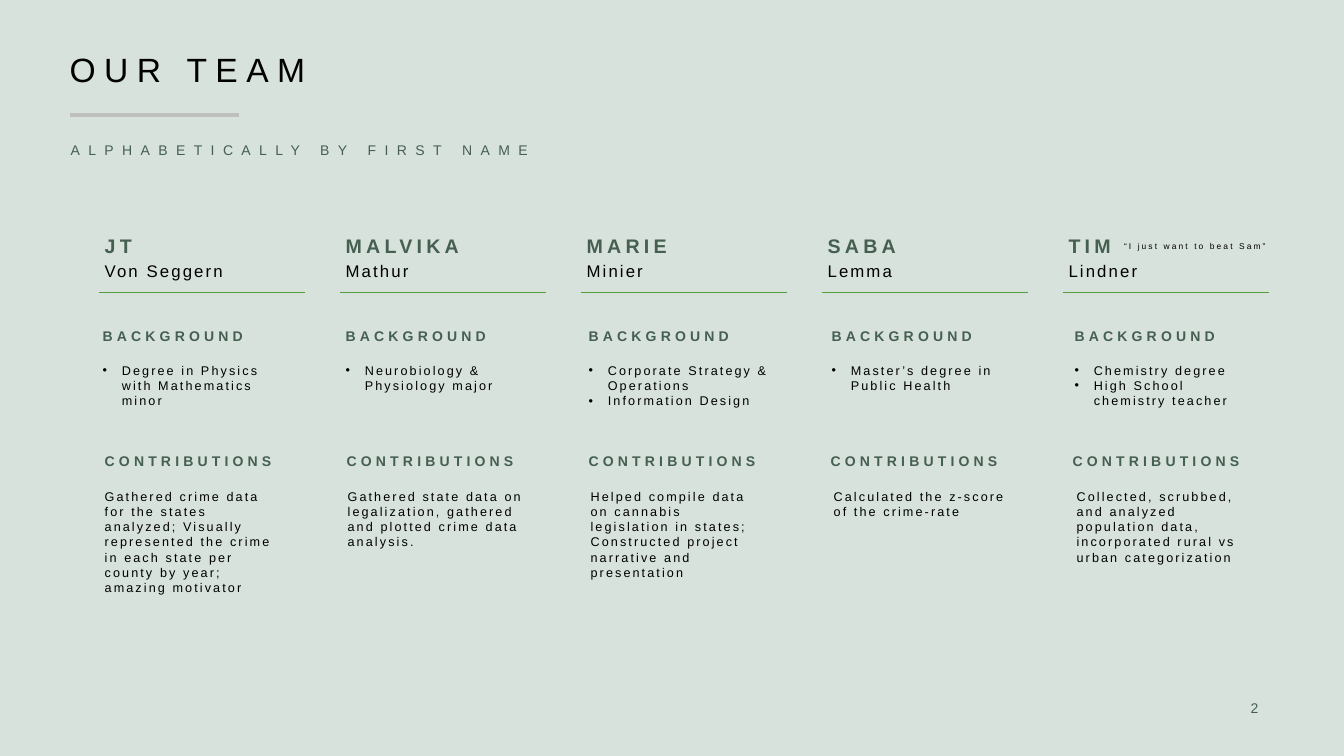
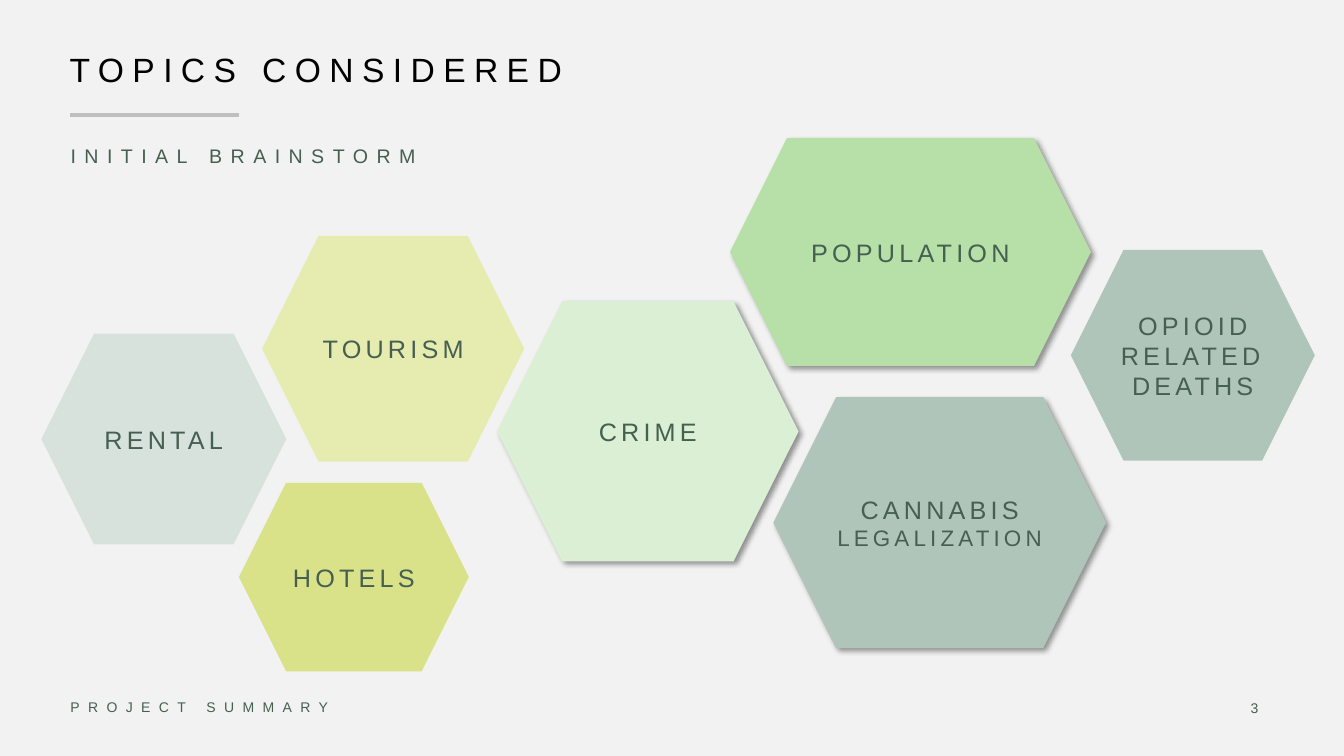
from lxml.etree import SubElement
from pptx import Presentation
from pptx.dml.color import RGBColor
from pptx.enum.shapes import MSO_CONNECTOR as Connector, MSO_SHAPE as Preset
from pptx.enum.text import MSO_ANCHOR as Anchor, MSO_AUTO_SIZE as AutoSize, PP_ALIGN as Align
from pptx.oxml.ns import qn
from pptx.util import Inches, Pt

FONT = "Arial"
BLACK, FOREST, GREEN, SILVER = "000000", "455F51", "549E39", "BFBFBF"

STYLES = {
    "title": dict(size=24, color=BLACK, spacing=6),
    "subtitle": dict(size=14, color=FOREST, spacing=6),
    "label": dict(size=10, color=FOREST, spacing=6),
    "name": dict(size=14, color=FOREST, spacing=3, bold=True),
    "surname": dict(size=12, color=BLACK, spacing=1.5),
    "heading": dict(size=10, color=FOREST, spacing=3, bold=True),
    "detail": dict(size=9, color=BLACK, spacing=1.5),
    "quote": dict(size=6, color=BLACK, spacing=1.5),
    "topic": dict(size=18, color=FOREST, spacing=3),
    "topic small": dict(size=16, color=FOREST, spacing=3),
}

TEAM = [
    dict(name="JT", name_width=0.51, surname="Von Seggern",
         background=["Degree in Physics with Mathematics minor"],
         contribution="Gathered crime data for the states analyzed; Visually represented "
                      "the crime in each state per county by year; amazing motivator",
         contribution_width=1.96),
    dict(name="MALVIKA", name_width=1.38, surname="Mathur",
         background=["Neurobiology & Physiology major"],
         contribution="Gathered state data on legalization, gathered and plotted "
                      "crime data analysis.",
         contribution_width=1.94),
    dict(name="MARIE", name_width=1.05, surname="Minier",
         background=["Corporate Strategy & Operations", "Information Design"],
         contribution="Helped compile data on cannabis legislation in states; "
                      "Constructed project narrative and presentation",
         contribution_width=1.94),
    dict(name="SABA", name_width=0.93, surname="Lemma",
         background=["Master’s degree in Public Health"],
         contribution="Calculated the z-score of the crime-rate",
         contribution_width=1.92),
    dict(name="TIM", name_width=0.66, surname="Lindner",
         background=["Chemistry degree", "High School chemistry teacher"],
         contribution="Collected, scrubbed, and analyzed population data, "
                      "incorporated rural vs urban categorization",
         contribution_width=1.84),
]
QUOTE = "“I just want to beat Sam”"

TOPICS = [
    (["CRIME"], (4.93, 2.99, 2.99, 2.58), "DBEFD4", True),
    (["RENTAL"], (0.41, 3.31, 2.43, 2.09), "D7E2DC", False),
    (["OPIOID", "RELATED DEATHS"], (10.62, 2.48, 2.42, 2.09), "AFC5B9", False),
    (["TOURISM"], (2.6, 2.34, 2.6, 2.24), "E6ECB0", False),
    (["HOTELS"], (2.37, 4.79, 2.28, 1.87), "D9E289", False),
    (["POPULATION"], (7.24, 1.37, 3.58, 2.26), "B7E0A8", True),
    (["CANNABIS", "LEGALIZATION"], (7.67, 3.94, 3.3, 2.49), "AFC5B9", True),
]
SMALL_TOPICS = {"LEGALIZATION"}


def rgb(color):
    """Turn a hex string into a colour."""
    return RGBColor.from_string(color)


def style_run(run, style):
    """Apply a named text style to a run."""
    look = STYLES[style]
    values = dict(name=FONT, size=Pt(look["size"]), bold=look.get("bold", False))
    for attribute, value in values.items():
        setattr(run.font, attribute, value)
    run.font.color.rgb = rgb(look["color"])
    run._r.get_or_add_rPr().set("spc", str(int(look["spacing"] * 100)))


def set_bullet(paragraph, bullet):
    """Give a paragraph a hanging bullet, or clear the inherited one."""
    hang = Inches(0.19) if bullet else 0
    properties = paragraph._p.get_or_add_pPr()
    properties.set("marL", str(hang))
    properties.set("indent", str(-hang))
    if bullet:
        SubElement(properties, qn("a:buFont")).set("typeface", FONT)
        SubElement(properties, qn("a:buChar")).set("char", "•")
    else:
        SubElement(properties, qn("a:buNone"))


def write(frame, lines, style, align=Align.LEFT, bullet=False, line_spacing=1.0, **frame_format):
    """Fill a text frame with one styled paragraph per line."""
    settings = dict(word_wrap=True, auto_size=AutoSize.NONE, vertical_anchor=Anchor.TOP)
    for attribute, value in {**settings, **frame_format}.items():
        setattr(frame, attribute, value)
    for index, line in enumerate(lines):
        paragraph = frame.add_paragraph() if index else frame.paragraphs[0]
        set_bullet(paragraph, bullet)
        layout = dict(alignment=align, line_spacing=line_spacing, space_before=Pt(0))
        for attribute, value in layout.items():
            setattr(paragraph, attribute, value)
        run = paragraph.add_run()
        run.text = line
        style_run(run, "topic small" if line in SMALL_TOPICS else style)


def add_text(shapes, box, lines, style, **text_format):
    """Add a text box at the given place in inches."""
    textbox = shapes.add_textbox(*map(Inches, box))
    write(textbox.text_frame, lines, style, **text_format)


def add_rule(shapes, left, top, width, color, weight):
    """Add a horizontal line without a shadow."""
    ends = map(Inches, (left, top, left + width, top))
    rule = shapes.add_connector(Connector.STRAIGHT, *ends)
    rule.line.color.rgb = rgb(color)
    rule.line.width = Pt(weight)
    SubElement(rule._element.spPr, qn("a:effectLst"))


def fill_placeholder(placeholder, box, text, style, **text_format):
    """Move a placeholder and write one line in it."""
    for side, value in zip(("left", "top", "width", "height"), box):
        setattr(placeholder, side, Inches(value))
    write(placeholder.text_frame, [text], style, **text_format)


def add_base(prs, background, title, number, subtitle, subtitle_box, **subtitle_format):
    """Start a slide with its title, subtitle, rule and page number."""
    slide = prs.slides.add_slide(prs.slide_layouts[1])
    slide.background.fill.solid()
    slide.background.fill.fore_color.rgb = rgb(background)
    fill_placeholder(slide.shapes.title, (0.59, 0.48, 11.5, 0.54), title, "title",
                     line_spacing=0.9)
    fill_placeholder(slide.placeholders[1], subtitle_box, subtitle, **subtitle_format)
    add_rule(slide.shapes, 0.69, 1.14, 1.68, SILVER, 3)
    add_text(slide.shapes, (11.58, 6.88, 1, 0.29), [number], "label",
             align=Align.RIGHT, vertical_anchor=Anchor.MIDDLE)
    return slide


def add_member(slide, column, member):
    """Add one team member's column."""
    shapes = slide.shapes
    name_left = 0.94 + 2.39 * column
    background_left = 0.92 + 2.41 * column
    contribution_left = 0.94 + 2.41 * column
    header = shapes.add_group_shape().shapes
    add_text(header, (name_left, 2.27, member["name_width"], 0.34), [member["name"]], "name",
             word_wrap=False)
    add_text(header, (name_left, 2.54, 2.09, 0.3), [member["surname"]], "surname")
    add_rule(header, name_left + 0.04, 2.9, 2.05, GREEN, 0.5)
    add_text(shapes, (background_left, 3.2, 1.86, 0.27), ["BACKGROUND"], "heading")
    add_text(shapes, (background_left, 3.55, 2.02, 0.56), member["background"], "detail",
             bullet=True)
    add_text(shapes, (0.94 + 2.4 * column, 4.44, 1.94, 0.27), ["CONTRIBUTIONS"], "heading")
    add_text(shapes, (contribution_left, 4.8, member["contribution_width"], 1.16),
             [member["contribution"]], "detail")


def add_shadow(shape):
    """Cast a soft shadow to the lower right."""
    effects = shape._element.spPr.find(qn("a:effectLst"))
    shadow = SubElement(effects, qn("a:outerShdw"))
    for attribute, value in dict(blurRad=Pt(4), dist=Pt(3), dir=45 * 60000,
                                 algn="tl", rotWithShape=0).items():
        shadow.set(attribute, str(value))
    color = SubElement(shadow, qn("a:srgbClr"))
    color.set("val", BLACK)
    SubElement(color, qn("a:alpha")).set("val", "40000")


def add_topic(slide, lines, box, fill, raised):
    """Add a topic hexagon, with a shadow if it is raised."""
    hexagon = slide.shapes.add_shape(Preset.HEXAGON, *map(Inches, box))
    hexagon.fill.solid()
    hexagon.fill.fore_color.rgb = rgb(fill)
    hexagon.line.fill.background()
    hexagon.shadow.inherit = False
    if raised:
        add_shadow(hexagon)
    write(hexagon.text_frame, lines, "topic", align=Align.CENTER, vertical_anchor=Anchor.MIDDLE)


def main():
    """Build both slides and save them."""
    prs = Presentation()
    prs.slide_width, prs.slide_height = Inches(13.33), Inches(7.5)

    team = add_base(prs, "D7E2DC", "OUR TEAM", "2", "ALPHABETICALLY BY FIRST NAME",
                    (0.6, 1.34, 5.22, 0.29), style="label", vertical_anchor=Anchor.MIDDLE)
    for column, member in enumerate(TEAM):
        add_member(team, column, member)
    add_text(team.shapes, (11.05, 2.34, 1.73, 0.2), [QUOTE], "quote")

    topics = add_base(prs, "F2F2F2", "TOPICS CONSIDERED", "3", "INITIAL BRAINSTORM",
                      (0.6, 1.38, 7.59, 0.44), style="subtitle")
    add_text(topics.shapes, (0.6, 6.87, 4.5, 0.29), ["PROJECT SUMMARY"], "label",
             vertical_anchor=Anchor.MIDDLE)
    for topic in TOPICS:
        add_topic(topics, *topic)

    prs.save("out.pptx")


if __name__ == "__main__":
    main()
